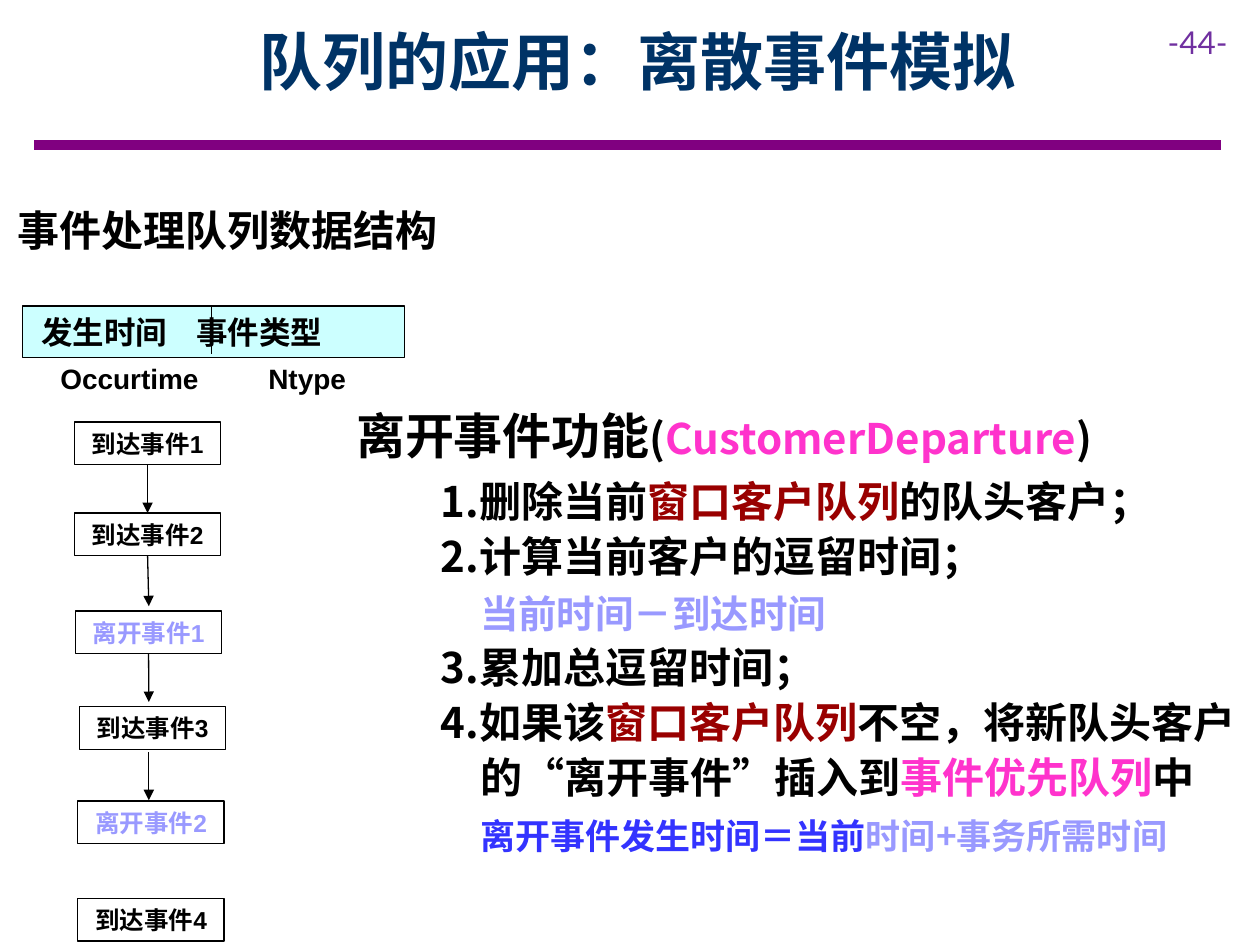
from lxml.etree import SubElement
from pptx import Presentation
from pptx.dml.color import RGBColor
from pptx.enum.shapes import MSO_CONNECTOR, MSO_SHAPE
from pptx.enum.text import MSO_ANCHOR, PP_ALIGN
from pptx.oxml.ns import qn
from pptx.util import Cm, Pt

COLORS = {
    "black": "000000", "navy": "003366", "purple": "800080", "violet": "7030A0",
    "lilac": "9999FF", "blue": "3333FF", "pink": "FF33CC", "red": "990000",
    "cyan": "CCFFFF",
}
CJK = "Noto Sans CJK SC"


def write(para, spans, size, font=CJK, bold=True, tab=None, indent=0):
    """Fill a paragraph with (text, color[, size]) spans."""
    properties = para._p.get_or_add_pPr()
    if indent:
        properties.set("marL", str(Cm(indent)))
        properties.set("indent", "0")
    if tab:
        stops = SubElement(properties, qn("a:tabLst"))
        SubElement(stops, qn("a:tab"), pos=str(Cm(tab)), algn="l")
    para.font.size, para.font.bold, para.font.name = Pt(size), bold, font
    for text, color, *own_size in spans:
        span = para.add_run()
        span.text = text
        span.font.size = Pt(own_size[0] if own_size else size)
        span.font.bold, span.font.name = bold, font
        span.font.color.rgb = RGBColor.from_string(COLORS[color])
        SubElement(span._r.get_or_add_rPr(), qn("a:ea"), typeface=CJK)


def add_line(start, end, color="black", width=0.75, arrow=False):
    line = page.shapes.add_connector(
        MSO_CONNECTOR.STRAIGHT, *(Cm(value) for value in (*start, *end)))
    line.line.color.rgb = RGBColor.from_string(COLORS[color])
    line.line.width = Pt(width)
    if arrow:
        SubElement(line.line._get_or_add_ln(), qn("a:tailEnd"), type="triangle")
    SubElement(line._element.spPr, qn("a:effectLst"))
    return line


deck = Presentation()
deck.slide_width, deck.slide_height = Cm(25.4), Cm(19.05)
page = deck.slides.add_slide(deck.slide_layouts[5])

# Title and rule
title = page.shapes.title
title.left, title.top, title.width, title.height = Cm(2.29), Cm(0.23), Cm(21.11), Cm(2.54)
title.text_frame.vertical_anchor = MSO_ANCHOR.TOP
para = title.text_frame.paragraphs[0]
para.alignment, para.line_spacing = PP_ALIGN.CENTER, Pt(46)
write(para, [("队列的应用：离散事件模拟", "navy")], 36)
add_line((0.69, 2.92), (24.61, 2.92), "purple", 6)

# Event queue: boxes and the arrows between them
events = [
    ("到达事件1", 1.5, 8.51, "black"),
    ("到达事件2", 1.5, 10.34, "black"),
    ("离开事件1", 1.52, 12.32, "lilac"),
    ("到达事件3", 1.6, 14.25, "black"),
    ("离开事件2", 1.57, 16.15, "lilac"),
    ("到达事件4", 1.57, 18.11, "black"),
]
# Header of the event record comes last among the rectangles
boxes = []
rectangles = [(text, left, top, 2.95, 0.86, color, None) for text, left, top, color in events]
rectangles.append(("发生时间\t事件类型", 0.46, 6.17, 7.7, 1.04, "black", "cyan"))
for text, left, top, width, height, color, fill in rectangles:
    box = page.shapes.add_shape(
        MSO_SHAPE.RECTANGLE, Cm(left), Cm(top), Cm(width), Cm(height))
    box.shadow.inherit = False
    box.line.color.rgb = RGBColor.from_string(COLORS["black"])
    box.line.width = Pt(0.75)
    frame = box.text_frame
    frame.word_wrap = False
    frame.vertical_anchor = MSO_ANCHOR.MIDDLE
    frame.margin_top = frame.margin_bottom = 0
    para = frame.paragraphs[0]
    if fill:
        box.fill.solid()
        box.fill.fore_color.rgb = RGBColor.from_string(COLORS[fill])
        frame.word_wrap = True
        frame.margin_left = Cm(0.37)
        para.alignment = PP_ALIGN.LEFT
        write(para, [(text, color)], 18, tab=3.13)
    else:
        box.fill.background()
        para.alignment = PP_ALIGN.CENTER
        write(para, [(text, color)], 14, "Arial")
    boxes.append(box)

add_line((4.27, 6.17), (4.27, 7.14))
arrows = [add_line((3, top), (3, bottom), arrow=True) for top, bottom in
          [(9.37, 10.34), (11.23, 12.22), (13.18, 14.15), (15.16, 16.13)]]
for box, arrow in zip(boxes[:3], arrows):
    arrow.begin_connect(box, 2)
arrows[0].end_connect(boxes[1], 0)

# Single-line labels: place, spans, size, font, bold, tab
labels = [
    ((23.29, 0.33, 2.11, 1.02), [("-44-", "violet")], 18, "Lato", False, None),
    ((0.1, 3.99, 10.08, 1.27), [("事件处理队列数据结构", "black")], 24, "Arial", True, None),
    ((0.97, 7.16, 6.48, 0.94), [("Occurtime\tNtype", "black")], 16, "Arial", True, 4.19),
    ((6.93, 8.05, 17.6, 1.45),
     [("离开事件功能", "black", 28), ("(", "black"), ("CustomerDeparture", "pink"),
      (")", "black")], 24, CJK, True, None),
]
for place, spans, size, font, bold, tab in labels:
    box = page.shapes.add_textbox(*(Cm(value) for value in place))
    box.text_frame.word_wrap = True
    box.text_frame.vertical_anchor = MSO_ANCHOR.MIDDLE
    write(box.text_frame.paragraphs[0], spans, size, font, bold, tab)

# Steps of the departure event: indent, spans
steps = [
    (0, [("1.删除当前", "black"), ("窗口客户队列", "red"), ("的队头客户；", "black")]),
    (0, [("2.计算当前客户的逗留时间；", "black")]),
    (0.79, [("当前时间－到达时间", "lilac", 22)]),
    (0, [("3.累加总逗留时间；", "black")]),
    (0, [("4.如果该", "black"), ("窗口客户队列", "red"), ("不空，将新队头客户", "black")]),
    (0.79, [("的“离开事件”插入到", "black"), ("事件优先队列", "pink"), ("中", "black")]),
    (0.79, [("离开事件发生时间＝当前", "blue", 20), ("时间+事务所需时间", "lilac", 20)]),
]
box = page.shapes.add_textbox(Cm(8.64), Cm(9.37), Cm(18.11), Cm(8.05))
frame = box.text_frame
frame.word_wrap = True
for number, (indent, spans) in enumerate(steps):
    para = frame.add_paragraph() if number else frame.paragraphs[0]
    para.line_spacing = Pt(31.5)
    write(para, spans, 24, indent=indent)

deck.save("out.pptx")
